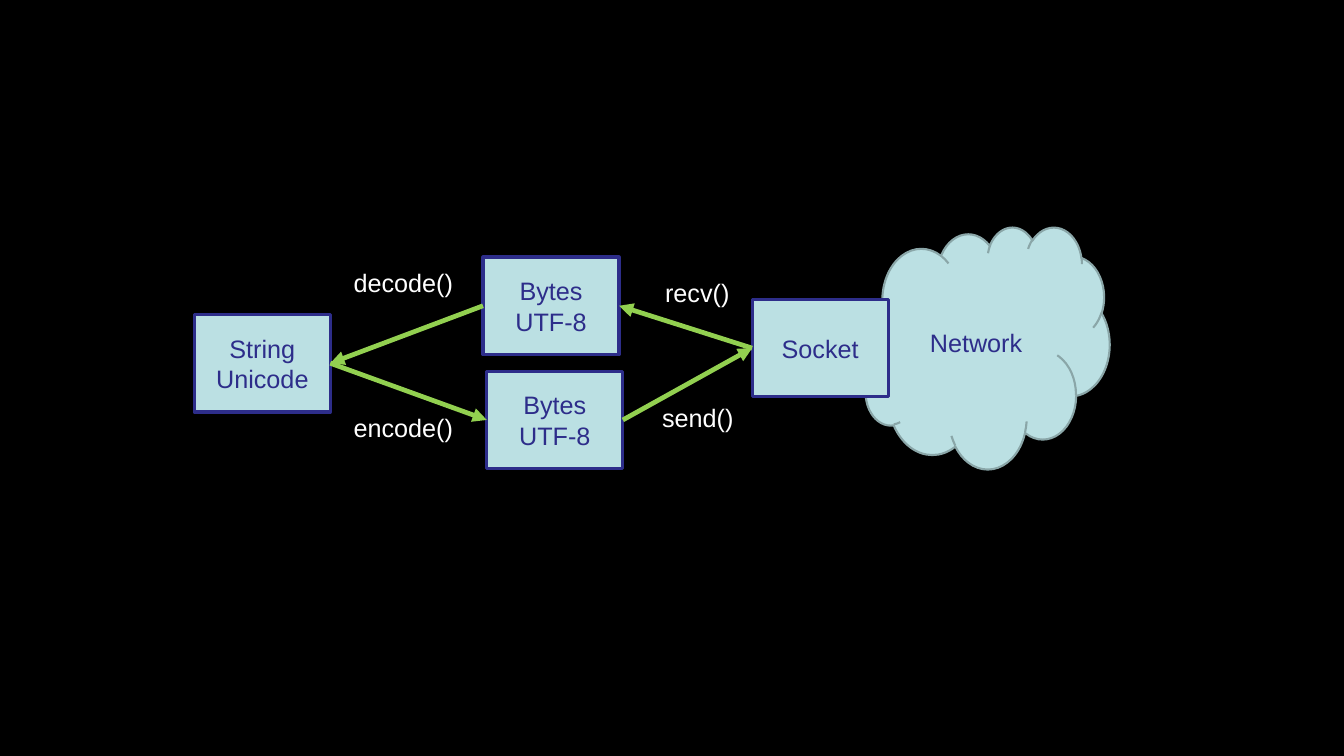
"""Build a slide showing how strings become bytes on their way to the network."""
from dataclasses import dataclass

from lxml.etree import SubElement
from pptx import Presentation
from pptx.dml.color import RGBColor
from pptx.enum.shapes import MSO_CONNECTOR, MSO_SHAPE
from pptx.enum.text import MSO_ANCHOR, MSO_AUTO_SIZE, PP_ALIGN
from pptx.oxml.ns import qn
from pptx.shapes.autoshape import Shape
from pptx.slide import Slide
from pptx.text.text import TextFrame
from pptx.util import Inches, Pt


@dataclass(frozen=True)
class Theme:
    """Colours, font and sizes shared by the whole slide."""
    background: RGBColor = RGBColor(0x00, 0x00, 0x00)
    fill: RGBColor = RGBColor(0xBB, 0xE0, 0xE3)
    ink: RGBColor = RGBColor(0x2D, 0x2D, 0x8A)
    cloud_line: RGBColor = RGBColor(0x8A, 0xA6, 0xA8)
    arrow: RGBColor = RGBColor(0x92, 0xD0, 0x50)
    label: RGBColor = RGBColor(0xFF, 0xFF, 0xFF)
    font: str = "Arial"
    text_size: float = 24
    cloud_width: float = 2
    box_width: float = 3
    arrow_width: float = 4.5


@dataclass(frozen=True)
class Node:
    """A filled shape holding centred text."""
    text: str
    left: float
    top: float
    width: float = 1.8
    height: float = 1.29


@dataclass(frozen=True)
class Arrow:
    """An arrow between the side middles of two named nodes."""
    start: str
    start_side: int
    end: str
    end_side: int


@dataclass(frozen=True)
class Label:
    """A function name beside an arrow."""
    text: str
    left: float
    top: float
    width: float


THEME = Theme()
LEFT, RIGHT = 1, 3

NETWORK = Node("Network", 11.38, 3, 3.3, 3.2)
BOXES = {
    "socket": Node("Socket", 9.95, 3.96),
    "received": Node("Bytes\nUTF-8", 6.39, 3.4),
    "string": Node("String\nUnicode", 2.57, 4.16),
    "sent": Node("Bytes\nUTF-8", 6.44, 4.91),
}
ARROWS = [
    Arrow("string", RIGHT, "sent", LEFT),
    Arrow("socket", LEFT, "received", RIGHT),
    Arrow("sent", RIGHT, "socket", LEFT),
    Arrow("received", LEFT, "string", RIGHT),
]
LABELS = [
    Label("recv()", 8.7, 3.62, 1.06),
    Label("decode()", 4.58, 3.49, 1.53),
    Label("encode()", 4.58, 5.41, 1.53),
    Label("send()", 8.66, 5.27, 1.16),
]


def write_text(frame: TextFrame, text: str, colour: RGBColor, align: PP_ALIGN) -> None:
    """Fill a text frame and format every run."""
    frame.text = text
    for para in frame.paragraphs:
        para.alignment = align
        for span in para.runs:
            span.font.name = THEME.font
            span.font.size = Pt(THEME.text_size)
            span.font.color.rgb = colour


def draw_node(page: Slide, node: Node, kind: MSO_SHAPE, line: RGBColor, weight: float) -> Shape:
    """Draw one filled, outlined shape with its text."""
    shape = page.shapes.add_shape(
        kind, Inches(node.left), Inches(node.top), Inches(node.width), Inches(node.height)
    )
    shape.shadow.inherit = False
    shape.fill.solid()
    shape.fill.fore_color.rgb = THEME.fill
    shape.line.color.rgb = line
    shape.line.width = Pt(weight)
    shape.text_frame.vertical_anchor = MSO_ANCHOR.MIDDLE
    write_text(shape.text_frame, node.text, THEME.ink, PP_ALIGN.CENTER)
    return shape


def draw_arrow(page: Slide, arrow: Arrow, boxes: dict[str, Shape]) -> None:
    """Join two boxes with a straight arrow."""
    connector = page.shapes.add_connector(MSO_CONNECTOR.STRAIGHT, 0, 0, 0, 0)
    connector.begin_connect(boxes[arrow.start], arrow.start_side)
    connector.end_connect(boxes[arrow.end], arrow.end_side)
    connector.line.color.rgb = THEME.arrow
    connector.line.width = Pt(THEME.arrow_width)
    properties = connector.element.spPr
    SubElement(properties.find(qn("a:ln")), qn("a:tailEnd"), type="triangle")
    SubElement(properties, qn("a:effectLst"))


def draw_label(page: Slide, label: Label) -> None:
    """Write one unwrapped label."""
    box = page.shapes.add_textbox(
        Inches(label.left), Inches(label.top), Inches(label.width), Inches(0.5)
    )
    box.text_frame.word_wrap = False
    box.text_frame.auto_size = MSO_AUTO_SIZE.SHAPE_TO_FIT_TEXT
    write_text(box.text_frame, label.text, THEME.label, PP_ALIGN.LEFT)


def main() -> None:
    """Build and save the deck."""
    deck = Presentation()
    deck.slide_width, deck.slide_height = Inches(17.78), Inches(10)
    page = deck.slides.add_slide(deck.slide_layouts.get_by_name("Blank"))
    page.background.fill.solid()
    page.background.fill.fore_color.rgb = THEME.background

    draw_node(page, NETWORK, MSO_SHAPE.CLOUD, THEME.cloud_line, THEME.cloud_width)
    boxes = {
        name: draw_node(page, node, MSO_SHAPE.RECTANGLE, THEME.ink, THEME.box_width)
        for name, node in BOXES.items()
    }
    for arrow in ARROWS:
        draw_arrow(page, arrow, boxes)
    for label in LABELS:
        draw_label(page, label)
    deck.save("out.pptx")


if __name__ == "__main__":
    main()
